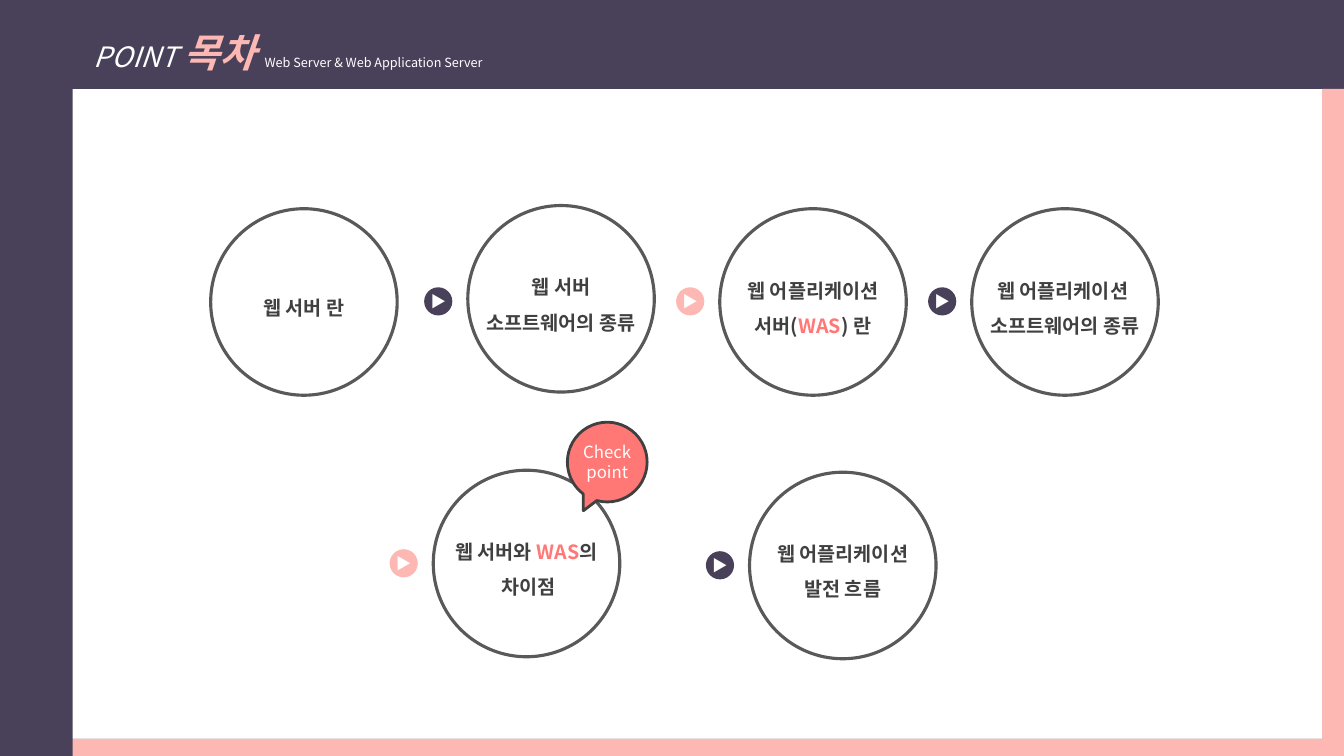
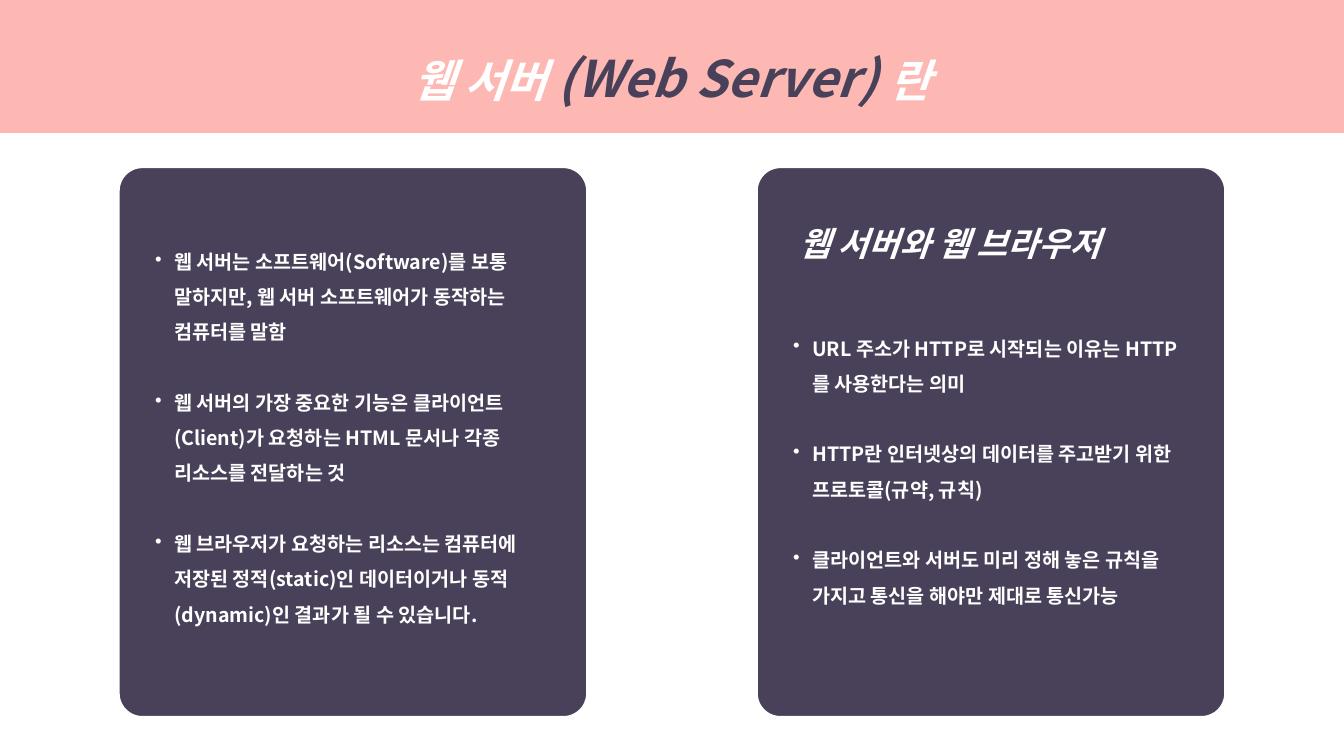
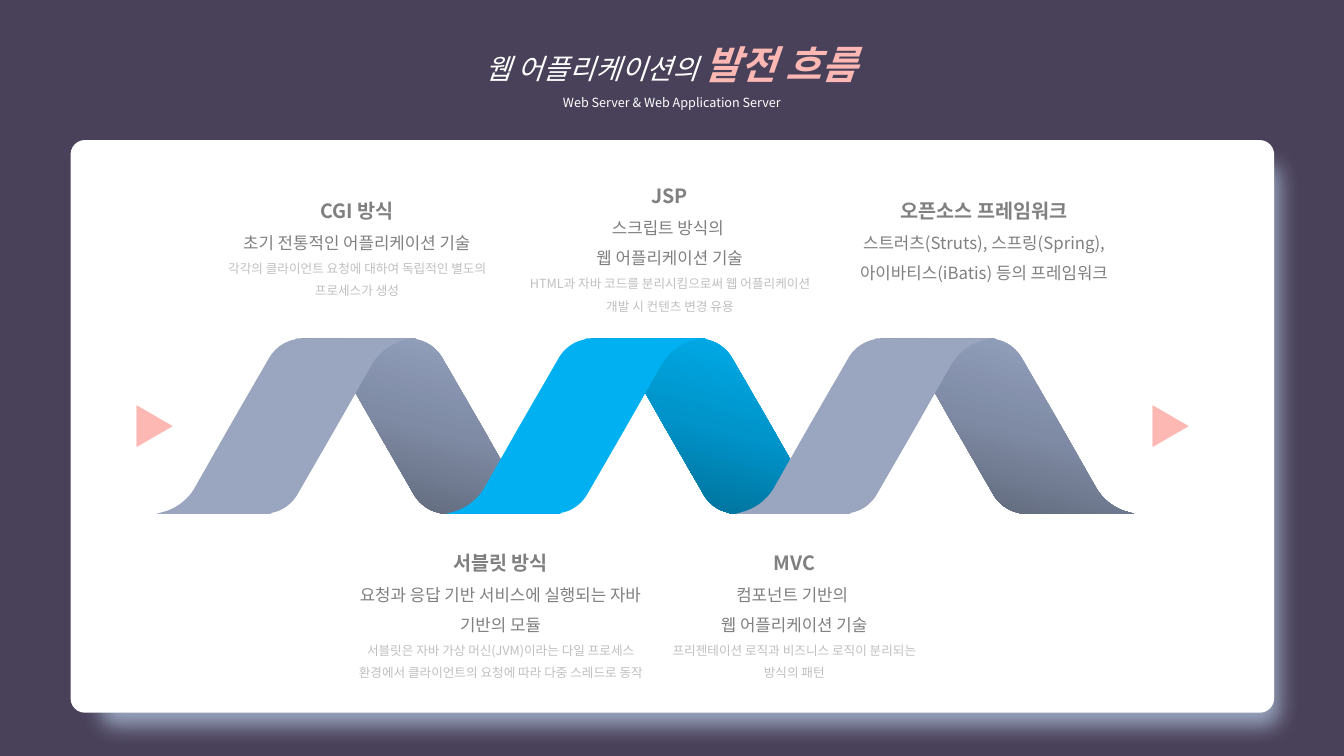
import pptx
import pptx.dml.color
import pptx.enum.shapes
import pptx.enum.text
import pptx.oxml
import pptx.oxml.ns
import pptx.util
from lxml import etree

Cm, Pt = pptx.util.Cm, pptx.util.Pt
SHAPE = pptx.enum.shapes.MSO_SHAPE
ALIGN = pptx.enum.text.PP_ALIGN
ANCHOR = pptx.enum.text.MSO_ANCHOR
qn = pptx.oxml.ns.qn

WIDTH, HEIGHT = 33.87, 19.05
FONT = "Noto Sans CJK KR"
NAVY, PINK, CORAL, WHITE = "494159", "FDB8B3", "FF7876", "FFFFFF"
INK, RING, GREY, PALE = "404040", "595959", "808080", "BFBFBF"
STEEL, SKY = "9AA6C0", "00B0F0"
STEEL_SHADE = ("97A5C3", "7F8BA4", "5A6273")
SKY_SHADE = ("00B0F0", "0094CA", "00688E")
SUBTITLE = ("Web Server & Web Application Server", 9, WHITE, "")
TITLE_BOX = (8.46, 0.3, 16.94, 2.64)


def colour(value):
    """Turn a hex string into a colour."""
    return pptx.dml.color.RGBColor.from_string(value)


def paint(shape, fill, line=None, weight=1):
    """Give a shape a flat fill and an optional outline."""
    shape.shadow.inherit = False
    shape.fill.solid()
    shape.fill.fore_color.rgb = colour(fill)
    if line:
        shape.line.color.rgb = colour(line)
        shape.line.width = Pt(weight)
    else:
        shape.line.fill.background()
    return shape


def add_box(page, kind, box, fill, line=None, weight=1, adjust=()):
    """Add a painted preset shape."""
    shape = page.shapes.add_shape(kind, *map(Cm, box))
    for index, value in enumerate(adjust):
        shape.adjustments[index] = value
    return paint(shape, fill, line, weight)


def add_outline(page, *contours, fill):
    """Add a freeform made of closed contours."""
    builder = None
    for contour in contours:
        points = [(Cm(x), Cm(y)) for x, y in contour]
        if builder is None:
            builder = page.shapes.build_freeform(*points[0])
        else:
            builder.move_to(*points[0])
        builder.add_line_segments(points[1:], close=True)
    return paint(builder.convert_to_shape(), fill)


def write(shape, paras, align=ALIGN.LEFT, spacing=1.5, wrap=True, anchor=ANCHOR.TOP):
    """Write paragraphs, each a list of (text, size, colour, style) spans."""
    frame = shape.text_frame
    frame.word_wrap = wrap
    frame.vertical_anchor = anchor
    for index, spans in enumerate(paras):
        para = frame.add_paragraph() if index else frame.paragraphs[0]
        para.alignment = align
        para.line_spacing = spacing
        for text, size, ink, style in spans:
            span = para.add_run()
            span.text = text
            span.font.name = FONT
            span.font.size = Pt(size)
            span.font.bold = "b" in style
            span.font.italic = "i" in style
            span.font.color.rgb = colour(ink)
            latin = span.font._element.find(qn("a:latin"))
            east = etree.Element(qn("a:ea"), typeface=FONT)
            latin.addnext(east)
    return frame


def add_text(page, box, paras, **options):
    """Add a text box."""
    return write(page.shapes.add_textbox(*map(Cm, box)), paras, **options)


def add_page(deck, background):
    """Add a blank page with a plain background."""
    page = deck.slides.add_slide(deck.slide_layouts[6])
    page.background.fill.solid()
    page.background.fill.fore_color.rgb = colour(background)
    return page


def corners(left, top, right, bottom):
    """List the corners of a rectangle."""
    return [(left, top), (right, top), (right, bottom), (left, bottom)]


def add_frame(page, left, top, right, bottom):
    """Draw the dark frame and its pink edge around an inner area."""
    inner = corners(left, top, right, bottom)
    add_outline(page, corners(0, 0, WIDTH, HEIGHT), inner[::-1], fill=NAVY)
    edge = [(right, top), (WIDTH, top), (WIDTH, HEIGHT),
            (left, HEIGHT), (left, bottom), (right, bottom)]
    add_outline(page, edge, fill=PINK)


def add_step(page, left, top, lines, marker=None, marker_top=0):
    """Draw a topic circle with the arrow that leads to it."""
    if marker:
        dot = add_box(page, SHAPE.OVAL, (left - 1.1, marker_top, 0.71, 0.71), marker)
        write(dot, [[("▶", 11, WHITE, "b")]], ALIGN.CENTER, 1, False, ANCHOR.MIDDLE)
    ring = add_box(page, SHAPE.OVAL, (left, top, 4.7, 4.7), WHITE, RING, 2.25)
    paras = [[(text, 14, CORAL if text == "WAS" else INK, "b") for text in line]
             for line in lines]
    write(ring, paras, ALIGN.CENTER, 1.5, False, ANCHOR.MIDDLE)


def build_contents(deck):
    """Build the contents page."""
    page = add_page(deck, WHITE)
    add_frame(page, 1.83, 2.24, 33.32, 18.62)
    add_text(page, (2.11, 0, 23.2, 1.83),
             [[("POINT ", 20, WHITE, "i"), ("목차 ", 28, PINK, "bi"), SUBTITLE]])
    steps = [
        (5.31, 5.26, [["웹 서버 란"]]),
        (11.79, 5.18, [["웹 서버"], ["소프트웨어의 종류"]], NAVY, 7.24),
        (18.14, 5.26, [["웹 어플리케이션"], ["서버(", "WAS", ") 란"]], PINK, 7.24),
        (24.49, 5.26, [["웹 어플리케이션 "], ["소프트웨어의 종류"]], NAVY, 7.24),
        (10.92, 11.85, [["웹 서버와 ", "WAS", "의"], [" 차이점"]], PINK, 13.84),
        (18.89, 11.9, [["웹 어플리케이션"], ["발전 흐름"]], NAVY, 13.89),
    ]
    for step in steps:
        add_step(page, *step)
    callout = add_box(page, SHAPE.OVAL_CALLOUT, (14.3, 10.64, 2.01, 2.01),
                      CORAL, INK, 2, (-0.3, 0.61))
    write(callout, [[(word, 12, WHITE, "")] for word in ("Check", "point")],
          ALIGN.CENTER, 1, False, ANCHOR.MIDDLE)


def add_card(page, left, top, text_top, points, heading=None):
    """Draw a rounded card with an optional heading and bullets."""
    add_box(page, SHAPE.ROUNDED_RECTANGLE, (left, top, 11.79, 13.84),
            NAVY, WHITE, 1, (0.05,))
    frame = add_text(page, (left + 0.66, top + text_top, 10.46, 10),
                     [[(point, 14, WHITE, "b")] for point in points])
    for index, para in enumerate(frame.paragraphs):
        para.space_before = Pt(25.2 if index else 0)
        layout = para._p.get_or_add_pPr()
        layout.set("marL", str(Cm(0.48)))
        layout.set("indent", str(-Cm(0.48)))
        etree.SubElement(layout, qn("a:buChar"), char="•")
    if heading:
        add_text(page, (left + 0.81, top + 1.27, 9.12, 1.27),
                 [[(heading, 24, WHITE, "bi")]], spacing=1, wrap=False)


def build_web_server(deck):
    """Build the page that explains the web server."""
    page = add_page(deck, WHITE)
    add_box(page, SHAPE.RECTANGLE, (0, 0, WIDTH, 3.35), PINK)
    add_card(page, 3, 4.22, 1.65, [
        "웹 서버는 소프트웨어(Software)를 보통 말하지만, 웹 서버 소프트웨어가 동작하는 컴퓨터를 말함",
        "웹 서버의 가장 중요한 기능은 클라이언트(Client)가 요청하는 HTML 문서나 각종 리소스를 전달하는 것",
        "웹 브라우저가 요청하는 리소스는 컴퓨터에 저장된 정적(static)인 데이터이거나 동적(dynamic)인 결과가 될 수 있습니다.",
    ])
    add_card(page, 19.08, 4.22, 3.84, [
        "URL 주소가 HTTP로 시작되는 이유는 HTTP를 사용한다는 의미",
        "HTTP란 인터넷상의 데이터를 주고받기 위한 프로토콜(규약, 규칙)",
        "클라이언트와 서버도 미리 정해 놓은 규칙을 가지고 통신을 해야만 제대로 통신가능",
    ], "웹 서버와 웹 브라우저")
    title = [("웹 서버 ", 32, WHITE, "bi"), ("(Web Server) ", 36, NAVY, "bi"),
             ("란", 32, WHITE, "bi")]
    add_text(page, TITLE_BOX, [title], align=ALIGN.CENTER)


def curve(start, first, second, end, count=12):
    """Sample a cubic curve after its start point."""
    points = []
    for step in range(1, count + 1):
        t = step / count
        weights = ((1 - t) ** 3, 3 * t * (1 - t) ** 2, 3 * t * t * (1 - t), t ** 3)
        points.append(tuple(sum(w * p[axis] for w, p in zip(weights, (start, first, second, end)))
                            for axis in (0, 1)))
    return points


def strip_outline():
    """Outline a falling strip, whose halves are point-symmetric."""
    half = [(0, 0), (2.87, 0), (2.92, 0.03)]
    half += curve(half[-1], (3.18, 0.08), (3.43, 0.25), (3.58, 0.53))
    half += [(4.55, 2.21), (5.46, 3.81)]
    half += curve(half[-1], (5.64, 4.09), (5.92, 4.29), (6.22, 4.37))
    return half + [(6.4 - x, 4.42 - y) for x, y in half]


def shade(shape, stops):
    """Fill a shape with a three-step gradient."""
    shape.fill.gradient()
    gradient = shape._element.spPr.find(qn("a:gradFill"))
    stop_list = gradient.find(qn("a:gsLst"))
    for stop in list(stop_list):
        stop_list.remove(stop)
    for index, value in enumerate(stops):
        stop = etree.SubElement(stop_list, qn("a:gs"), pos=str(index * 50000))
        etree.SubElement(stop, qn("a:srgbClr"), val=value)
    gradient.find(qn("a:lin")).set("ang", str(105 * 60000))


def add_fold(page, left, top, front, stops):
    """Draw one fold: a shaded falling strip behind a flat rising one."""
    outline = strip_outline()
    back = add_outline(page, [(left + 3.65 + x, top + y) for x, y in outline], fill=front)
    shade(back, stops)
    add_outline(page, [(left + 6.4 - x, top + y) for x, y in outline], fill=front)


def add_panel(page, box):
    """Draw the white panel with its soft shadow."""
    panel = add_box(page, SHAPE.ROUNDED_RECTANGLE, box, WHITE, adjust=(0.025,))
    effects = panel._element.spPr.find(qn("a:effectLst"))
    shadow = etree.SubElement(effects, qn("a:outerShdw"), blurRad=str(Pt(15)),
                              dist=str(Pt(19)), dir=str(45 * 60000), sx="98000",
                              sy="98000", algn="ctr", rotWithShape="0")
    etree.SubElement(shadow, qn("a:srgbClr"), val=STEEL)


def add_stage(page, box, heading, lines, detail=None):
    """Write one stage: heading, description and small detail."""
    paras = [[(heading, 14, GREY, "b")]] + [[(line, 12, GREY, "")] for line in lines]
    if detail:
        paras.append([(detail, 9, PALE, "")])
    add_text(page, box, paras, align=ALIGN.CENTER)


def build_evolution(deck):
    """Build the page on the evolution of web applications."""
    page = add_page(deck, NAVY)
    title = [("웹 어플리케이션의 ", 20, WHITE, "i"), ("발전 흐름", 28, PINK, "bi")]
    add_text(page, TITLE_BOX, [title, [SUBTITLE]], align=ALIGN.CENTER)
    add_panel(page, (1.78, 3.53, 30.33, 14.43))
    folds = ((STEEL, STEEL_SHADE), (SKY, SKY_SHADE), (STEEL, STEEL_SHADE))
    for index, (front, stops) in enumerate(folds):
        add_fold(page, 3.94 + index * 7.3, 8.53, front, stops)
    stages = [
        ((5.44, 4.6, 7.11, 3), "CGI 방식", ["초기 전통적인 어플리케이션 기술"],
         "각각의 클라이언트 요청에 대하여 독립적인 별도의 프로세스가 생성"),
        ((12.83, 4.22, 8.1, 3.78), "JSP", ["스크립트 방식의 ", "웹 어플리케이션 기술"],
         "HTML과 자바 코드를 분리시킴으로써 웹 어플리케이션 개발 시 컨텐츠 변경 유용"),
        ((21.18, 4.6, 7.24, 2.59), "오픈소스 프레임워크",
         ["스트러츠(Struts), 스프링(Spring), 아이바티스(iBatis) 등의 프레임워크"]),
        ((8.69, 13.46, 7.85, 4.34), "서블릿 방식",
         ["요청과 응답 기반 서비스에 실행되는 자바 기반의 모듈"],
         "서블릿은 자바 가상 머신(JVM)이라는 다일 프로세스 환경에서 클라이언트의 요청에 따라 다중 스레드로 동작"),
        ((16.46, 13.46, 7.11, 3.78), "MVC", ["컴포넌트 기반의 ", "웹 어플리케이션 기술"],
         "프리젠테이션 로직과 비즈니스 로직이 분리되는 방식의 패턴"),
    ]
    for stage in stages:
        add_stage(page, *stage)
    for left in (3.07, 28.68):
        add_text(page, (left, 9.93, 1.07, 1.63), [[("▶", 32, PINK, "")]], spacing=1)


def main():
    """Build and save the deck."""
    deck = pptx.Presentation()
    deck.slide_width, deck.slide_height = Cm(WIDTH), Cm(HEIGHT)
    build_contents(deck)
    build_web_server(deck)
    build_evolution(deck)
    deck.save("out.pptx")


if __name__ == "__main__":
    main()
